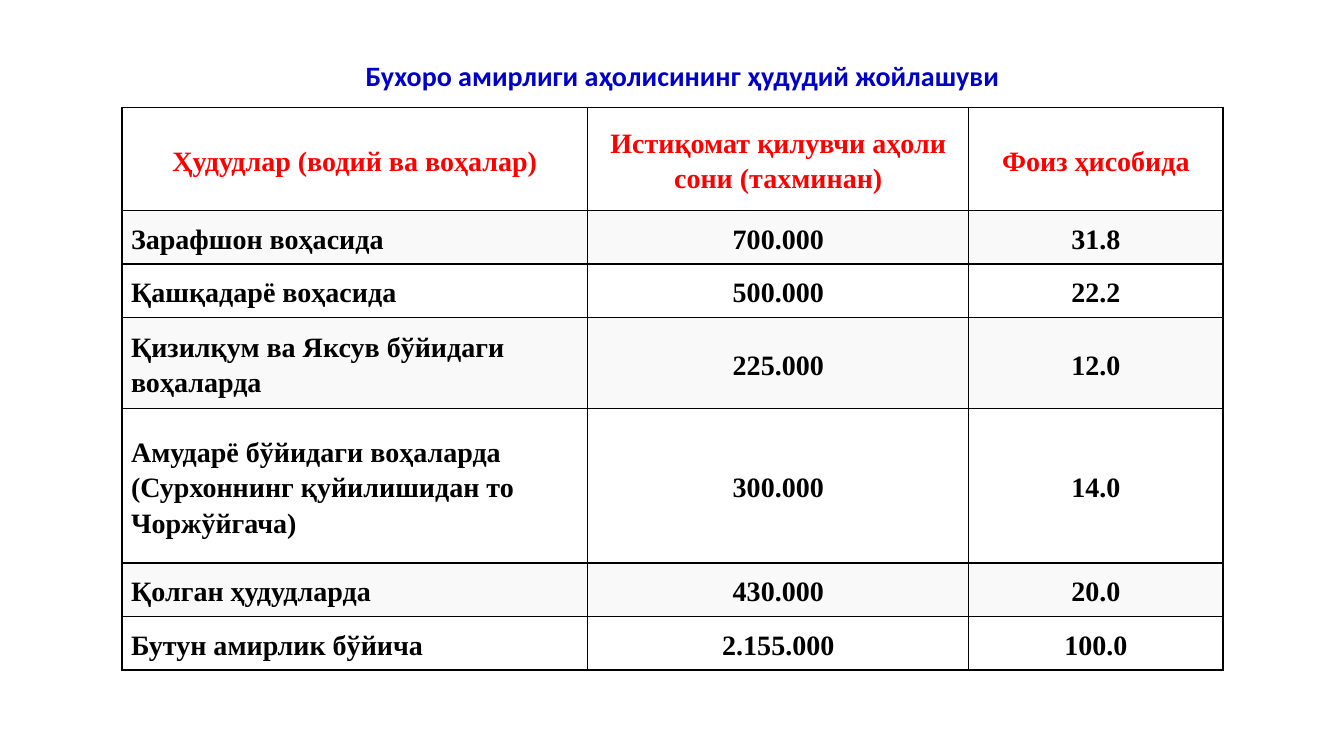
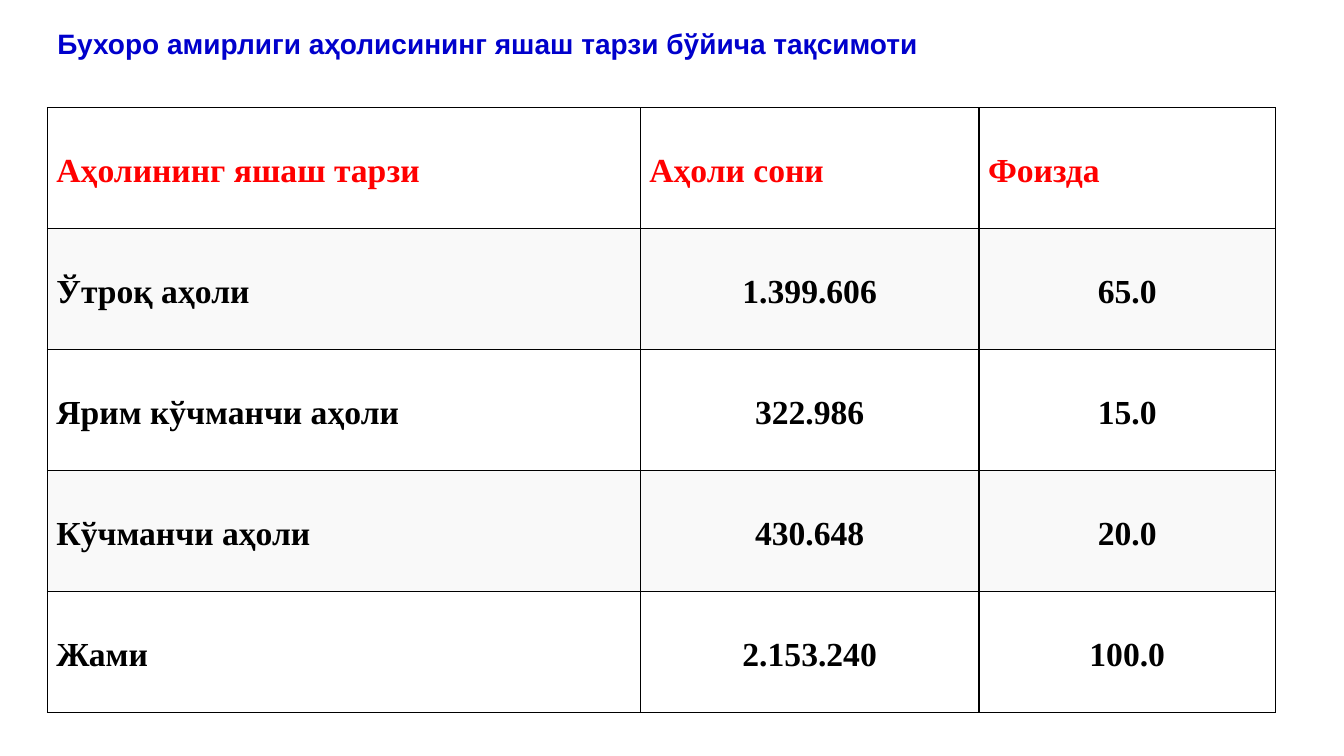
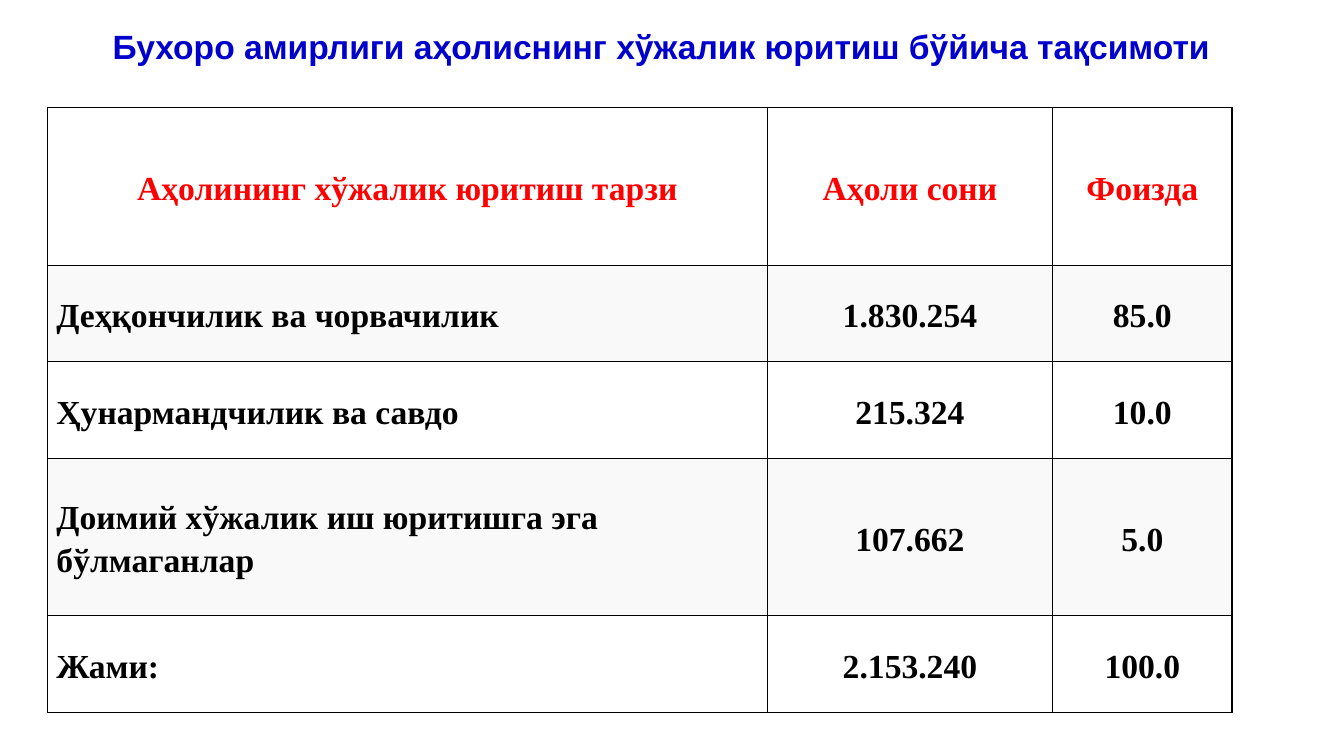
"""Build three slides of population tables for the Bukhara emirate."""
from dataclasses import dataclass

from lxml.etree import SubElement
from pptx import Presentation
from pptx.dml.color import RGBColor
from pptx.enum.text import MSO_ANCHOR, MSO_AUTO_SIZE, PP_ALIGN
from pptx.oxml.ns import qn
from pptx.util import Inches, Pt

TITLE_COLOUR = "0000CC"
HEADING_COLOUR = "FF0000"
BODY_COLOUR = "000000"
BORDER_COLOUR = "000000"
BAND_COLOUR = "F9F9F9"
TABLE_FONT = "Times New Roman"
TABLE_TOP = 1.07
LINE_SPACING = 1.15
BORDER_WIDTH = Pt(1)
CELL_MARGIN_X, CELL_MARGIN_Y = Inches(0.09), Inches(0.07)


@dataclass(frozen=True)
class Title:
    text: str
    left: float
    top: float
    width: float
    height: float
    size: int
    font: str = "Arial"
    align: PP_ALIGN = PP_ALIGN.CENTER


@dataclass(frozen=True)
class Grid:
    left: float
    columns: tuple[float, ...]
    rows: tuple[float, ...]
    size: int
    records: tuple[tuple[str, ...], ...]
    heading_align: PP_ALIGN = PP_ALIGN.CENTER


@dataclass(frozen=True)
class Page:
    title: Title
    grid: Grid


PAGES = (
    Page(
        Title("Бухоро амирлиги аҳолисининг ҳудудий жойлашуви",
              2.36, 0.53, 8.82, 0.44, 20, font="Calibri"),
        Grid(1.21, (4.62, 3.78, 2.52), (1.02, 0.53, 0.53, 0.86, 1.53, 0.53, 0.53), 20, (
            ("Ҳудудлар (водий ва воҳалар)", "Истиқомат қилувчи аҳоли сони (тахминан)",
             "Фоиз ҳисобида"),
            ("Зарафшон воҳасида", "700.000", "31.8"),
            ("Қашқадарё воҳасида", "500.000", "22.2"),
            ("Қизилқум ва Яксув бўйидаги воҳаларда", "225.000", "12.0"),
            ("Амударё бўйидаги воҳаларда (Сурхоннинг қуйилишидан то Чоржўйгача)",
             "300.000", "14.0"),
            ("Қолган ҳудудларда", "430.000", "20.0"),
            ("Бутун амирлик бўйича", "2.155.000", "100.0"),
        )),
    ),
    Page(
        Title("Бухоро амирлиги аҳолисининг яшаш тарзи бўйича тақсимоти",
              0.47, 0.21, 11.76, 0.44, 20, align=PP_ALIGN.LEFT),
        Grid(0.47, (5.88, 3.36, 2.94), (1.2,) * 5, 24, (
            ("Аҳолининг яшаш тарзи", "Аҳоли сони", "Фоизда"),
            ("Ўтроқ аҳоли", "1.399.606", "65.0"),
            ("Ярим кўчманчи аҳоли", "322.986", "15.0"),
            ("Кўчманчи аҳоли", "430.648", "20.0"),
            ("Жами", "2.153.240", "100.0"),
        ), heading_align=PP_ALIGN.LEFT),
    ),
    Page(
        Title("Бухоро амирлиги аҳолиснинг хўжалик юритиш бўйича тақсимоти",
              0.47, 0.21, 12.18, 0.5, 24),
        Grid(0.47, (7.14, 2.83, 1.78), (1.56, 0.96, 0.96, 1.56, 0.96), 24, (
            ("Аҳолининг хўжалик юритиш тарзи", "Аҳоли сони", "Фоизда"),
            ("Деҳқончилик ва чорвачилик", "1.830.254", "85.0"),
            ("Ҳунармандчилик ва савдо", "215.324", "10.0"),
            ("Доимий хўжалик иш юритишга эга бўлмаганлар", "107.662", "5.0"),
            ("Жами:", "2.153.240", "100.0"),
        )),
    ),
)


def colour(value: str) -> RGBColor:
    return RGBColor.from_string(value)


def write(frame, text: str, font: str, size: int, tint: str, align: PP_ALIGN):
    frame.text = text
    paragraph = frame.paragraphs[0]
    paragraph.alignment = align
    run_font = paragraph.runs[0].font
    run_font.name, run_font.size, run_font.bold = font, Pt(size), True
    run_font.color.rgb = colour(tint)
    return paragraph


def add_title(slide, title: Title) -> None:
    box = slide.shapes.add_textbox(
        *map(Inches, (title.left, title.top, title.width, title.height)))
    frame = box.text_frame
    frame.word_wrap = True
    frame.auto_size = MSO_AUTO_SIZE.SHAPE_TO_FIT_TEXT
    write(frame, title.text, title.font, title.size, TITLE_COLOUR, title.align)


def add_borders(cell) -> None:
    properties = cell._tc.get_or_add_tcPr()
    for side in ("a:lnL", "a:lnR", "a:lnT", "a:lnB"):
        line = SubElement(properties, qn(side), w=str(BORDER_WIDTH))
        fill = SubElement(line, qn("a:solidFill"))
        SubElement(fill, qn("a:srgbClr"), val=BORDER_COLOUR)


def style_cell(cell, banded: bool) -> None:
    add_borders(cell)
    cell.vertical_anchor = MSO_ANCHOR.MIDDLE
    cell.margin_left = cell.margin_right = CELL_MARGIN_X
    cell.margin_top = cell.margin_bottom = CELL_MARGIN_Y
    if banded:
        cell.fill.solid()
        cell.fill.fore_color.rgb = colour(BAND_COLOUR)
    else:
        cell.fill.background()


def add_grid(slide, grid: Grid) -> None:
    table = slide.shapes.add_table(
        len(grid.rows), len(grid.columns), Inches(grid.left), Inches(TABLE_TOP),
        Inches(sum(grid.columns)), Inches(sum(grid.rows))).table
    table.first_row = table.horz_banding = False
    for column, width in zip(table.columns, grid.columns):
        column.width = Inches(width)
    for row, height in zip(table.rows, grid.rows):
        row.height = Inches(height)
    for row_index, record in enumerate(grid.records):
        heading = row_index == 0
        tint = HEADING_COLOUR if heading else BODY_COLOUR
        for column_index, text in enumerate(record):
            cell = table.cell(row_index, column_index)
            style_cell(cell, banded=row_index % 2 == 1)
            body_align = PP_ALIGN.CENTER if column_index else PP_ALIGN.LEFT
            align = grid.heading_align if heading else body_align
            paragraph = write(cell.text_frame, text, TABLE_FONT, grid.size, tint, align)
            paragraph.line_spacing = LINE_SPACING


def main() -> None:
    deck = Presentation()
    deck.slide_width, deck.slide_height = Inches(13.33), Inches(7.5)
    blank = deck.slide_layouts[6]
    for page in PAGES:
        slide = deck.slides.add_slide(blank)
        add_title(slide, page.title)
        add_grid(slide, page.grid)
    deck.save("out.pptx")


if __name__ == "__main__":
    main()
